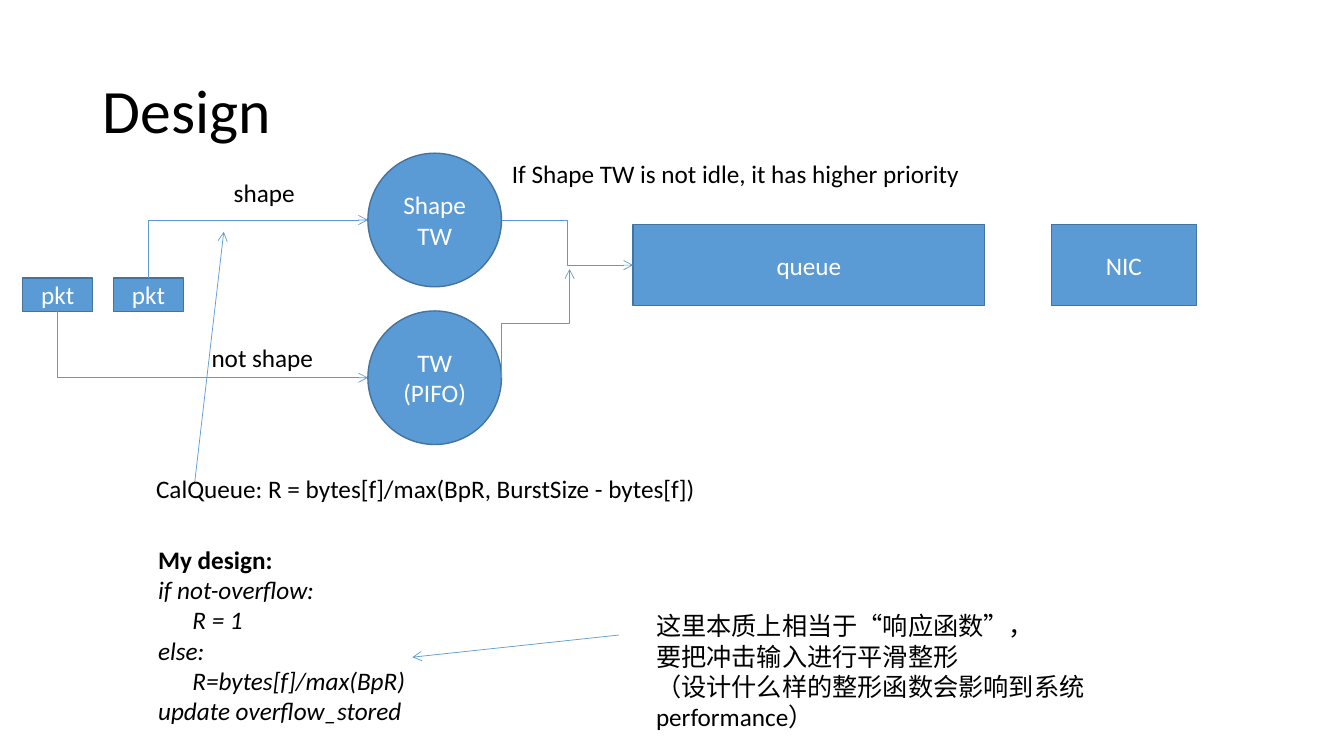
from lxml.etree import SubElement
from pptx import Presentation
from pptx.dml.color import RGBColor
from pptx.enum.shapes import MSO_CONNECTOR as WIRE, MSO_SHAPE as SHAPE
from pptx.enum.text import MSO_ANCHOR as ANCHOR, MSO_AUTO_SIZE as FIT, PP_ALIGN as ALIGN
from pptx.oxml.ns import qn
from pptx.util import Inches, Pt


def colour(value):
    return RGBColor.from_string(value)


def apply(target, values):
    for name, value in values.items():
        setattr(target, name, value)


class Board:
    cell = Inches(0.1)
    columns, rows = 133.33, 75
    fill, edge, ink, light = "5B9BD5", "43739E", "000000", "FFFFFF"
    font = {"name": "Calibri", "size": Pt(18)}

    def __init__(self):
        self.deck = Presentation()
        self.deck.slide_width = self.grid(self.columns)
        self.deck.slide_height = self.grid(self.rows)
        self.page = self.deck.slides.add_slide(self.deck.slide_layouts[5])

    def grid(self, count):
        return round(count * self.cell)

    def frame(self, *counts):
        return [self.grid(count) for count in counts]

    def add_lines(self, box, lines, tone, align=ALIGN.LEFT):
        for index, (text, style) in enumerate(lines):
            para = box.paragraphs[0] if index == 0 else box.add_paragraph()
            para.alignment = align
            span = para.add_run()
            span.text = text
            apply(span.font, {**self.font, **style})
            span.font.color.rgb = colour(tone)

    def title(self, text, place):
        holder = self.page.shapes.title
        apply(holder, dict(zip(("left", "top", "width", "height"), self.frame(*place))))
        box = holder.text_frame
        apply(box, {"vertical_anchor": ANCHOR.MIDDLE, "word_wrap": True})
        self.add_lines(box, [(text, {"size": Pt(44)})], self.ink)
        box.paragraphs[0].line_spacing = 0.9

    def node(self, kind, place, *lines):
        shape = self.page.shapes.add_shape(kind, *self.frame(*place))
        shape.shadow.inherit = False
        shape.fill.solid()
        shape.fill.fore_color.rgb = colour(self.fill)
        shape.line.color.rgb = colour(self.edge)
        shape.line.width = Pt(1)
        shape.text_frame.vertical_anchor = ANCHOR.MIDDLE
        self.add_lines(shape.text_frame, [(line, {}) for line in lines], self.light, ALIGN.CENTER)

    def label(self, place, *lines, **layout):
        box = self.page.shapes.add_textbox(*self.frame(*place)).text_frame
        apply(box, {"word_wrap": False, "auto_size": FIT.SHAPE_TO_FIT_TEXT, **layout})
        self.add_lines(box, lines, self.ink)
        return box

    def arrow(self, start, end, kind=WIRE.STRAIGHT, bend=None, turned=False):
        wire = self.page.shapes.add_connector(kind, *self.frame(*start, *end))
        wire.line.color.rgb = colour(self.fill)
        wire.line.width = Pt(0.5)
        SubElement(wire.line._get_or_add_ln(), qn("a:tailEnd"), type="arrow")
        properties = wire._element.spPr
        SubElement(properties, qn("a:effectLst"))
        if bend is not None:
            guides = properties.find(qn("a:prstGeom")).get_or_add_avLst()
            SubElement(guides, qn("a:gd"), name="adj1", fmla=f"val {round(bend * 100000)}")
        if turned:
            left, top, width, height = wire.left, wire.top, wire.width, wire.height
            shift = (width - height) // 2
            apply(wire, {"left": left + shift, "top": top - shift,
                         "width": height, "height": width})
            transform = properties.find(qn("a:xfrm"))
            transform.attrib.pop("flipV", None)
            transform.set("rot", str(270 * 60000))


def main():
    board = Board()
    board.title("Design", (9.2, 4, 115, 14.5))

    wheel, wheel_left, shape_top, pifo_top = 13.25, 36.5, 15.2, 30.85
    wheel_right = wheel_left + wheel
    shape_mid, pifo_mid = shape_top + wheel / 2, pifo_top + wheel / 2
    board.node(SHAPE.OVAL, (wheel_left, shape_top, wheel, wheel), "Shape", "TW")
    board.node(SHAPE.OVAL, (wheel_left, pifo_top, wheel, wheel), "TW", "(PIFO)")

    packet_top, packet_width, packet_height = 27.6, 6.95, 3.3
    packets = (2.25, 11.25)
    for left in packets:
        board.node(SHAPE.RECTANGLE, (left, packet_top, packet_width, packet_height), "pkt")
    first, second = (left + packet_width / 2 for left in packets)

    queue_left, stage_top, stage_height = 62.8, 22.3, 8
    for name, left, width in (("queue", queue_left, 34.9), ("NIC", 104.3, 14.4)):
        board.node(SHAPE.RECTANGLE, (left, stage_top, width, stage_height), name)

    elbows = (
        ((second, packet_top), (wheel_left, shape_mid), 0, False),
        ((first, packet_top + packet_height), (wheel_left, pifo_mid), 0, False),
        ((wheel_right, shape_mid), (queue_left, stage_top + stage_height / 2), 0.5, False),
        ((wheel_right, pifo_mid), (56.5, 26.7), 0.5, True),
    )
    for start, end, bend, turned in elbows:
        board.arrow(start, end, WIRE.ELBOW, bend, turned)
    board.arrow((19.3, 48), (22.2, 23))
    board.arrow((61.4, 63), (40.9, 65.2))

    labels = (
        ("shape", 22.2, 17.1, 8.8),
        ("not shape", 20, 33.5, 13.1),
        ("If Shape TW is not idle, it has higher priority", 49.8, 15.2, 50.6),
        ("CalQueue: R = bytes[f]/max(BpR, BurstSize - bytes[f])", 14.5, 46.5, 61.6),
    )
    for text, left, top, width in labels:
        board.label((left, top, width, 4), (text, {}))

    italic = {"italic": True}
    design = board.label(
        (14.7, 53.5, 52.5, 19.2),
        ("My design:", {"bold": True}),
        ("if not-overflow:", italic),
        ("R = 1", italic),
        ("else:", italic),
        ("R=bytes[f]/max(BpR)", italic),
        ("update overflow_stored", italic),
        word_wrap=True,
    )
    for para in design.paragraphs[2:5:2]:
        para._p.get_or_add_pPr().set("marL", str(board.grid(3.4)))

    board.label(
        (64.1, 60.1, 46, 13.1),
        ("这里本质上相当于“响应函数”，", {}),
        ("要把冲击输入进行平滑整形", {}),
        ("（设计什么样的整形函数会影响到系统performance）", {}),
        word_wrap=True,
    )
    board.deck.save("out.pptx")


if __name__ == "__main__":
    main()
